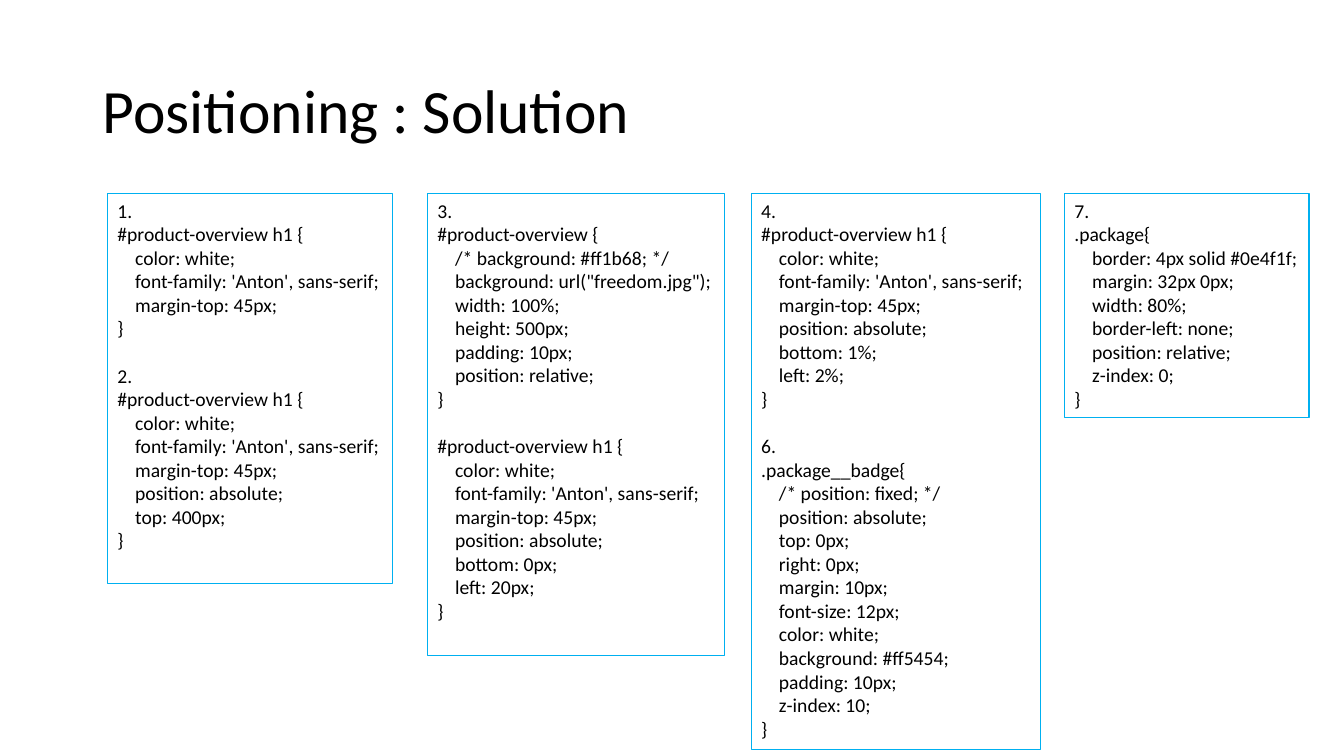
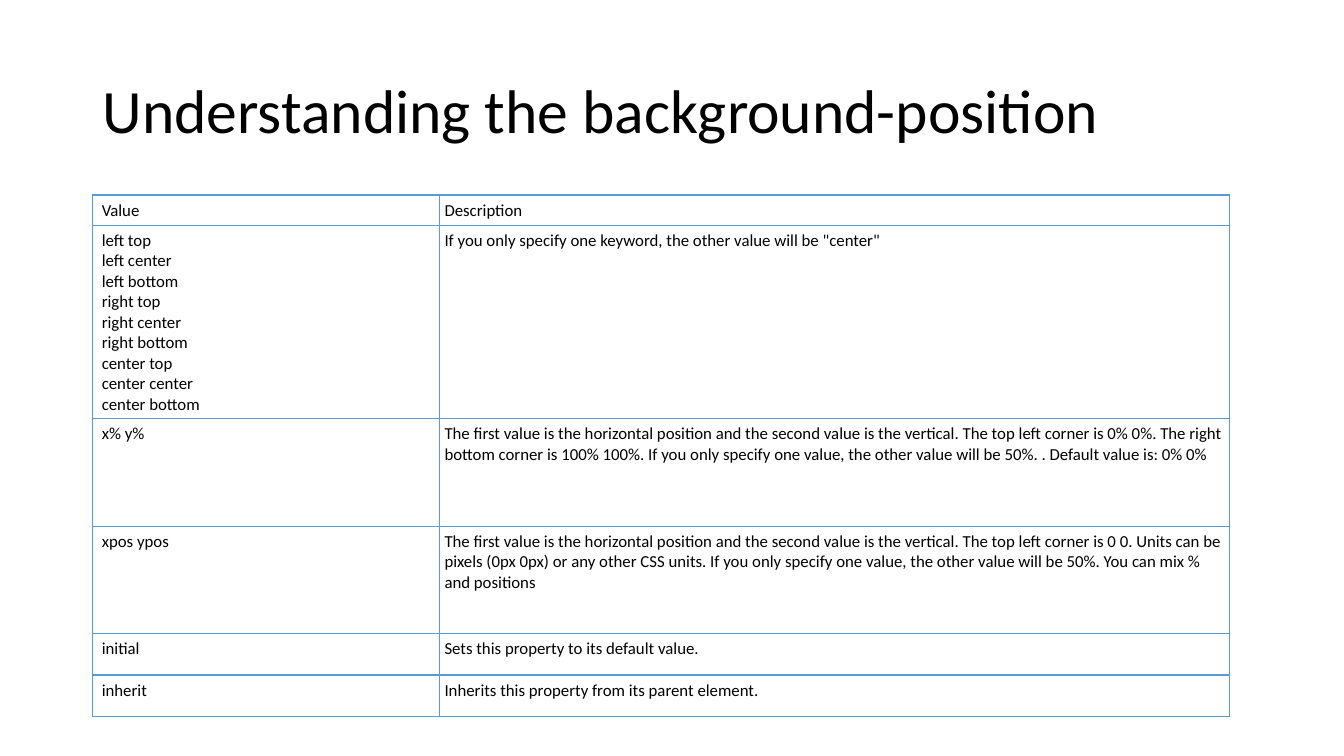
from lxml import etree
from pptx import Presentation
from pptx.dml.color import RGBColor
from pptx.enum.shapes import MSO_SHAPE
from pptx.enum.text import MSO_ANCHOR, PP_ALIGN
from pptx.oxml.ns import qn
from pptx.util import Inches, Pt

RECTANGLE = MSO_SHAPE.RECTANGLE
LEFT = PP_ALIGN.LEFT
TOP, MIDDLE = MSO_ANCHOR.TOP, MSO_ANCHOR.MIDDLE

TEXT_COLOR = "000000"
BOX_LINE = "00B0F0"
TABLE_LINE = "5B9BD5"
TITLE_FONT = {"name": "Calibri", "size": Pt(44)}
CODE_FONT = {"name": "Calibri", "size": Pt(14)}
TABLE_FONT = {"name": "Calibri", "size": Pt(12)}
TITLE_AREA = (6.9, 5.3, 86.3, 19.3)
BLOCK_GAP = Pt(17)

prs = Presentation()
prs.slide_width, prs.slide_height = Inches(13.33), Inches(7.5)


def area(left, top, width, height):
    """Turn percentages of the slide's size into lengths."""
    across, down = prs.slide_width / 100, prs.slide_height / 100
    return [round(v) for v in (left * across, top * down, width * across, height * down)]


def style(paragraph, font_format):
    paragraph.alignment = LEFT
    for attribute, value in font_format.items():
        setattr(paragraph.font, attribute, value)
    paragraph.font.color.rgb = RGBColor.from_string(TEXT_COLOR)


# Slides and their titles
slides = []
for title in ("Positioning : Solution", "Understanding the background-position"):
    slide = prs.slides.add_slide(prs.slide_layouts[6])
    title_frame = slide.shapes.add_textbox(*area(*TITLE_AREA)).text_frame
    title_frame.word_wrap = True
    title_frame.vertical_anchor = MIDDLE
    title_frame.text = title
    title_frame.paragraphs[0].line_spacing = 0.9
    style(title_frame.paragraphs[0], TITLE_FONT)
    slides.append(slide)
solution_slide, values_slide = slides

# Code boxes: left, width, height, code (an empty line parts two blocks)
CODE_TOP = 25.6
code_boxes = [
    (8, 21.2, 51.6, """1.
#product-overview h1 {
    color: white;
    font-family: 'Anton', sans-serif;
    margin-top: 45px;
}

2.
#product-overview h1 {
    color: white;
    font-family: 'Anton', sans-serif;
    margin-top: 45px;
    position: absolute;
    top: 400px;
}"""),
    (31.8, 22.1, 61.1, """3.
#product-overview {
    /* background: #ff1b68; */
    background: url("freedom.jpg");
    width: 100%;
    height: 500px;
    padding: 10px;
    position: relative;
}

#product-overview h1 {
    color: white;
    font-family: 'Anton', sans-serif;
    margin-top: 45px;
    position: absolute;
    bottom: 0px;
    left: 20px;
}"""),
    (55.9, 21.5, 73.6, """4.
#product-overview h1 {
    color: white;
    font-family: 'Anton', sans-serif;
    margin-top: 45px;
    position: absolute;
    bottom: 1%;
    left: 2%;
}

6.
.package__badge{
    /* position: fixed; */
    position: absolute;
    top: 0px;
    right: 0px;
    margin: 10px;
    font-size: 12px;
    color: white;
    background: #ff5454;
    padding: 10px;
    z-index: 10;
}"""),
    (79.2, 18.2, 29.6, """7.
.package{
    border: 4px solid #0e4f1f;
    margin: 32px 0px;
    width: 80%;
    border-left: none;
    position: relative;
    z-index: 0;
}"""),
]
for left, width, height, code in code_boxes:
    box = solution_slide.shapes.add_shape(RECTANGLE, *area(left, CODE_TOP, width, height))
    box.shadow.inherit = False
    box.fill.background()
    box.line.color.rgb = RGBColor.from_string(BOX_LINE)
    box.line.width = Pt(0.75)
    code_frame = box.text_frame
    code_frame.word_wrap = True
    code_frame.vertical_anchor = TOP

    blocks = code.split("\n\n")
    code_frame.text = "\n".join(blocks)
    for paragraph in code_frame.paragraphs:
        style(paragraph, CODE_FONT)
    if len(blocks) > 1:
        second_start = len(blocks[0].splitlines())
        code_frame.paragraphs[second_start].space_before = BLOCK_GAP

# Table of values: row height, value, description
COLUMN_WIDTHS = (25.8, 58.8)
value_rows = [
    (4, "Value", "Description"),
    (25.6, """left top
left center
left bottom
right top
right center
right bottom
center top
center center
center bottom""", 'If you only specify one keyword, the other value will be "center"'),
    (14.2, "x% y%",
     "The first value is the horizontal position and the second value is the vertical. "
     "The top left corner is 0% 0%. The right bottom corner is 100% 100%. If you only "
     "specify one value, the other value will be 50%. . Default value is: 0% 0%"),
    (14.2, "xpos ypos",
     "The first value is the horizontal position and the second value is the vertical. "
     "The top left corner is 0 0. Units can be pixels (0px 0px) or any other CSS units. "
     "If you only specify one value, the other value will be 50%. "
     "You can mix % and positions"),
    (5.5, "initial", "Sets this property to its default value."),
    (5.5, "inherit", "Inherits this property from its parent element."),
]
table_area = area(6.9, 25.8, sum(COLUMN_WIDTHS), sum(row[0] for row in value_rows))
values_table = values_slide.shapes.add_table(
    len(value_rows), len(COLUMN_WIDTHS), *table_area).table
values_table.first_row = values_table.horz_banding = False
for column, width in zip(values_table.columns, COLUMN_WIDTHS):
    column.width = area(0, 0, width, 0)[2]

for row, (height, *texts) in zip(values_table.rows, value_rows):
    row.height = area(0, 0, 0, height)[3]
    for cell, text, left_margin in zip(row.cells, texts, (0.09, 0.05)):
        cell.margin_left = Inches(left_margin)
        cell.margin_right = cell.margin_top = cell.margin_bottom = Inches(0.05)
        cell.vertical_anchor = TOP
        cell.text = text
        for paragraph in cell.text_frame.paragraphs:
            style(paragraph, TABLE_FONT)
        properties = cell._tc.get_or_add_tcPr()
        for side in ("a:lnL", "a:lnR", "a:lnT", "a:lnB"):
            border = etree.SubElement(properties, qn(side), w=str(Pt(1)))
            border_fill = etree.SubElement(border, qn("a:solidFill"))
            etree.SubElement(border_fill, qn("a:srgbClr"), val=TABLE_LINE)
        cell.fill.background()

prs.save("out.pptx")
